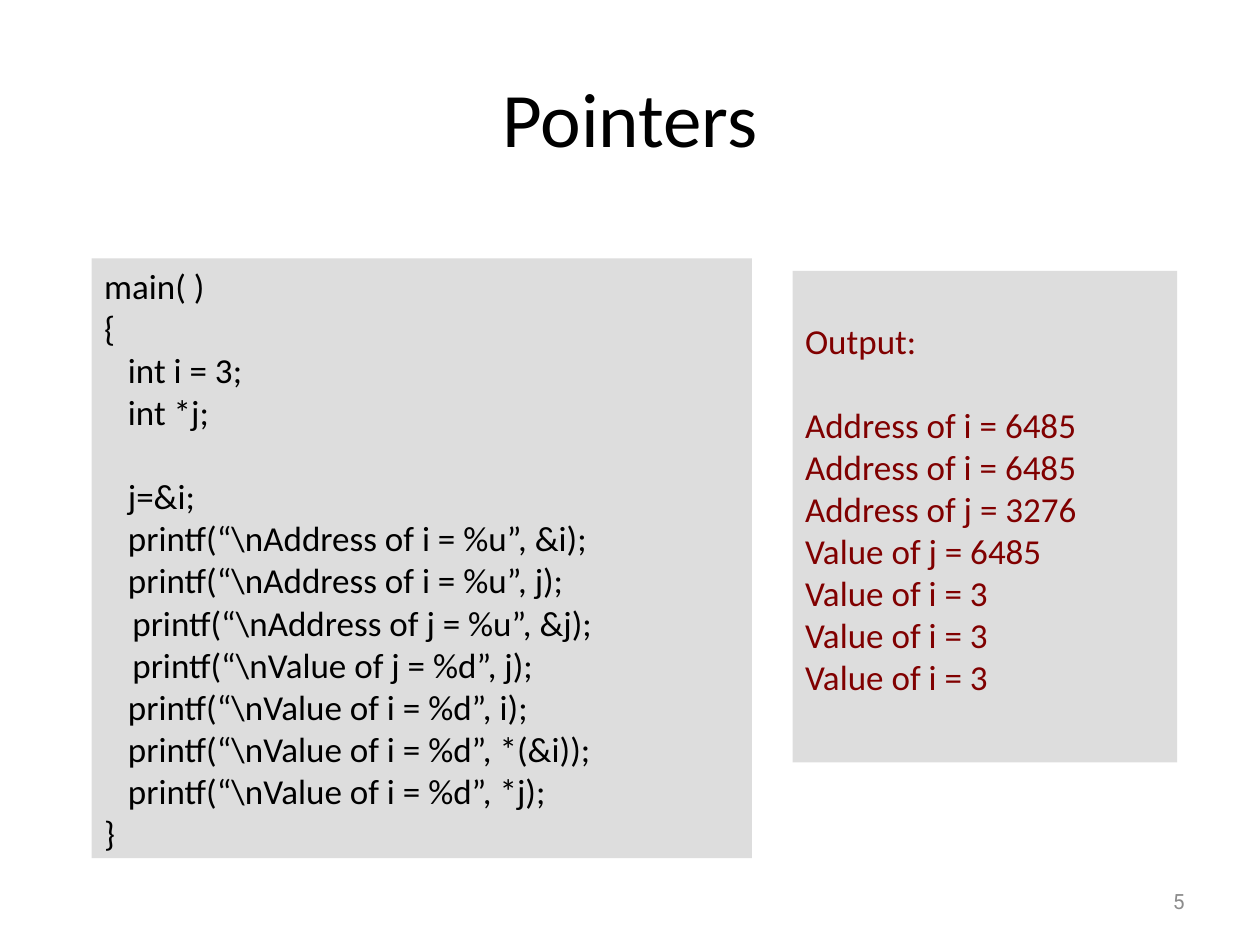
from pptx import Presentation
from pptx.dml.color import RGBColor
from pptx.enum.shapes import MSO_SHAPE
from pptx.enum.text import MSO_ANCHOR, PP_ALIGN
from pptx.util import Cm, Pt

RECT = MSO_SHAPE.RECTANGLE
TOP, MIDDLE = MSO_ANCHOR.TOP, MSO_ANCHOR.MIDDLE
LEFT, CENTER, RIGHT = PP_ALIGN.LEFT, PP_ALIGN.CENTER, PP_ALIGN.RIGHT

BLACK = RGBColor(0, 0, 0)
MAROON = RGBColor(0x80, 0, 0)
SILVER = RGBColor(0xDD, 0xDD, 0xDD)
GRAY = RGBColor(0x8C, 0x8C, 0x8C)

TITLE = {"name": "Calibri", "size": Pt(44), "color": BLACK}
CODE = {"name": "Calibri", "size": Pt(20), "color": BLACK}
RESULT = {**CODE, "color": MAROON}
NUMBER = {"name": "Roboto", "size": Pt(12), "color": GRAY}

GAP = Pt(24)
STEP, DEEP = Cm(0.48), Cm(0.57)

# Each line: text, left indent, space before
CODE_LINES = [
    ("main( )", 0, 0),
    ("{", 0, 0),
    ("int i = 3;", STEP, 0),
    ("int *j;", STEP, 0),
    ("j=&i;", STEP, GAP),
    ("printf(“\\nAddress of i = %u”, &i);", STEP, 0),
    ("printf(“\\nAddress of i = %u”, j);", STEP, 0),
    ("printf(“\\nAddress of j = %u”, &j);", DEEP, 0),
    ("printf(“\\nValue of j = %d”, j);", DEEP, 0),
    ("printf(“\\nValue of i = %d”, i);", STEP, 0),
    ("printf(“\\nValue of i = %d”, *(&i));", STEP, 0),
    ("printf(“\\nValue of i = %d”, *j);", STEP, 0),
    ("}", 0, 0),
]
RESULT_LINES = [
    ("Output:", 0, 0),
    ("Address of i = 6485", 0, GAP),
    ("Address of i = 6485", 0, 0),
    ("Address of j = 3276", 0, 0),
    ("Value of j = 6485", 0, 0),
    *[("Value of i = 3", 0, 0)] * 3,
]


def style(font, look):
    for key, value in look.items():
        if key == "color":
            font.color.rgb = value
        else:
            setattr(font, key, value)


def write(frame, lines, look, align=LEFT, anchor=TOP):
    frame.word_wrap = True
    frame.vertical_anchor = anchor
    for i, (text, indent, before) in enumerate(lines):
        para = frame.add_paragraph() if i else frame.paragraphs[0]
        para.alignment = align
        para.space_before = before
        if indent:
            para._p.get_or_add_pPr().set("marL", str(int(indent)))
        run = para.add_run()
        run.text = text
        style(run.font, look)


def add_title(slide, text):
    title = slide.shapes.title
    title.left, title.top = Cm(1.27), Cm(0.76)
    title.width, title.height = Cm(22.86), Cm(3.18)
    write(title.text_frame, [(text, 0, 0)], TITLE, CENTER, MIDDLE)


def add_panel(slide, box, lines, look, inset=Cm(0.13)):
    panel = slide.shapes.add_shape(RECT, *box)
    panel.shadow.inherit = False
    panel.fill.solid()
    panel.fill.fore_color.rgb = SILVER
    panel.line.fill.background()
    panel.text_frame.margin_top = inset
    write(panel.text_frame, lines, look)


def add_number(slide, text):
    box = slide.shapes.add_textbox(Cm(18.21), Cm(17.65), Cm(5.92), Cm(1.02))
    write(box.text_frame, [(text, 0, 0)], NUMBER, RIGHT, MIDDLE)


def main():
    deck = Presentation()
    deck.slide_width, deck.slide_height = Cm(25.4), Cm(19.05)
    slide = deck.slides.add_slide(deck.slide_layouts[5])
    add_number(slide, "5")
    add_title(slide, "Pointers")
    add_panel(slide, (Cm(1.85), Cm(5.21), Cm(13.31), Cm(12.09)),
              CODE_LINES, CODE)
    add_panel(slide, (Cm(15.98), Cm(5.46), Cm(7.75), Cm(9.91)),
              RESULT_LINES, RESULT, Cm(0.98))
    deck.save("out.pptx")


if __name__ == "__main__":
    main()
